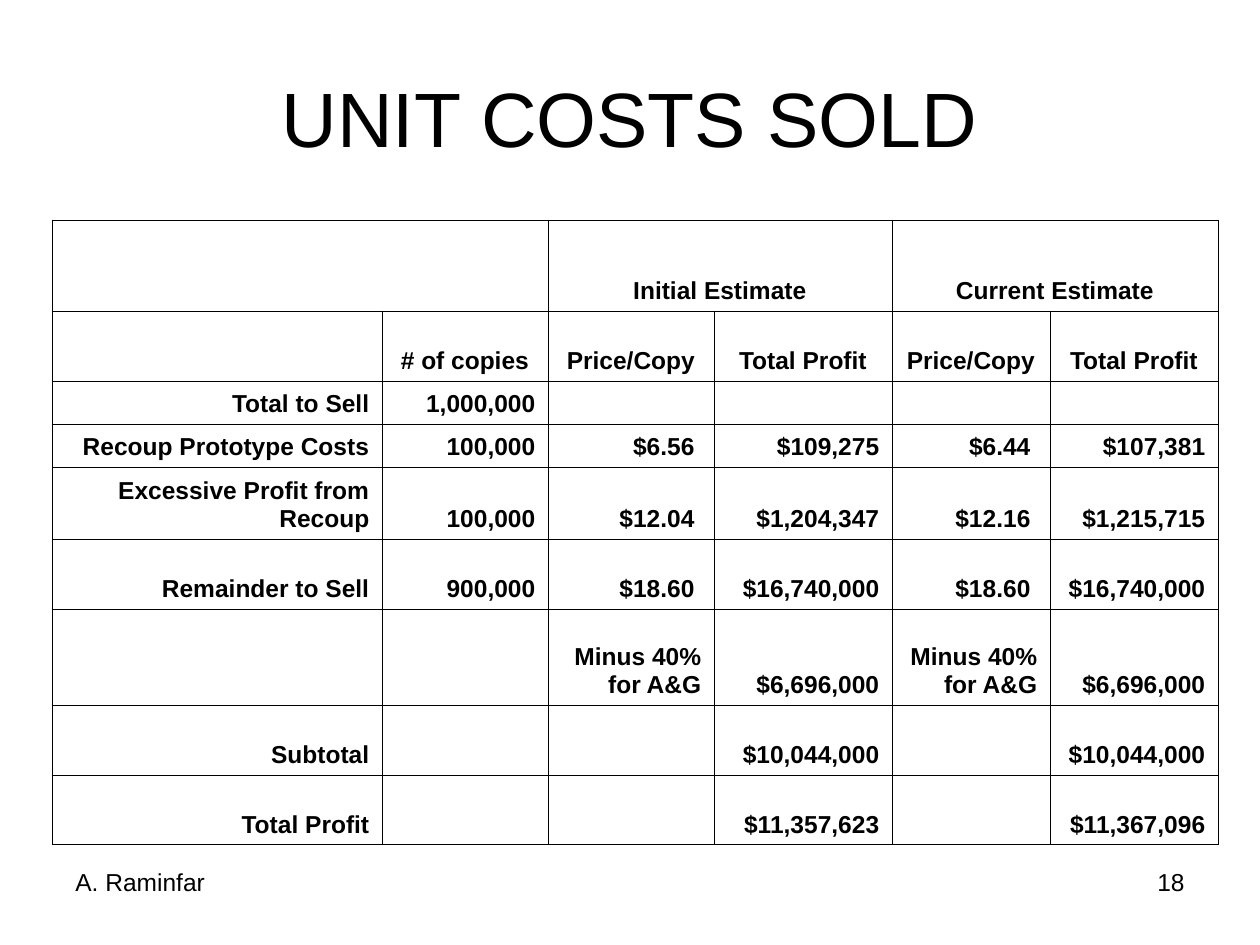
"""Build the unit costs slide: a title, an estimate table and a footer."""
from dataclasses import dataclass

from lxml import etree
from pptx import Presentation, util as u
from pptx.dml.color import RGBColor
from pptx.enum import text
from pptx.oxml.ns import qn

BLACK = RGBColor(0x00, 0x00, 0x00)
FONT = "Arial"
BODY_PT = 14
BORDER_PT = 0.45
LEFT, CENTER, RIGHT = text.PP_ALIGN.LEFT, text.PP_ALIGN.CENTER, text.PP_ALIGN.RIGHT
TOP, MIDDLE, BOTTOM = text.MSO_ANCHOR.TOP, text.MSO_ANCHOR.MIDDLE, text.MSO_ANCHOR.BOTTOM

COLUMN_WIDTHS = [330, 166, 166, 178, 158, 168]
ROW_HEIGHTS = [91, 70, 43, 43, 72, 70, 96, 70, 70]
HEADER_ROWS = 2
ESTIMATES = [
    ["", "", "Initial Estimate", "", "Current Estimate", ""],
    ["", "# of copies", "Price/Copy", "Total Profit", "Price/Copy", "Total Profit"],
    ["Total to Sell", "1,000,000", "", "", "", ""],
    ["Recoup Prototype Costs", "100,000", "$6.56 ", "$109,275", "$6.44 ", "$107,381"],
    ["Excessive Profit from Recoup", "100,000", "$12.04 ", "$1,204,347", "$12.16 ", "$1,215,715"],
    ["Remainder to Sell", "900,000", "$18.60 ", "$16,740,000", "$18.60 ", "$16,740,000"],
    ["", "", "Minus 40% for A&G", "$6,696,000", "Minus 40% for A&G", "$6,696,000"],
    ["Subtotal", "", "", "$10,044,000", "", "$10,044,000"],
    ["Total Profit", "", "", "$11,357,623", "", "$11,367,096"],
]


@dataclass
class Label:
    wording: str
    left: int
    top: int
    width: int
    height: int
    align: text.PP_ALIGN
    size: int = BODY_PT
    anchor: text.MSO_ANCHOR = TOP


LABELS = [
    Label("UNIT COSTS SOLD", 63, 38, 1134, 157, CENTER, 44, MIDDLE),
    Label("18", 903, 861, 294, 65, RIGHT),
    Label("A. Raminfar", 63, 861, 294, 65, LEFT),
]


def px(length: int) -> u.Emu:
    return u.Emu(length * 914400 // 126)


def write(frame, wording: str, align: text.PP_ALIGN, size: int, bold: bool = False) -> None:
    frame.text = wording
    paragraph = frame.paragraphs[0]
    paragraph.alignment = align
    for run in paragraph.runs:
        run.font.name = FONT
        run.font.size = u.Pt(size)
        run.font.bold = bold
        run.font.color.rgb = BLACK
    if not wording:
        etree.SubElement(paragraph._p, qn("a:endParaRPr"), sz=str(size * 100))


def add_label(slide, label: Label) -> None:
    box = slide.shapes.add_textbox(px(label.left), px(label.top), px(label.width), px(label.height))
    frame = box.text_frame
    frame.word_wrap = True
    frame.vertical_anchor = label.anchor
    write(frame, label.wording, label.align, label.size)


def add_borders(cell) -> None:
    properties = cell._tc.get_or_add_tcPr()
    for side in ("lnL", "lnR", "lnT", "lnB"):
        line = etree.SubElement(properties, qn(f"a:{side}"), w=str(u.Pt(BORDER_PT)))
        fill = etree.SubElement(line, qn("a:solidFill"))
        etree.SubElement(fill, qn("a:srgbClr"), val=str(BLACK))


def add_estimates(slide, left: int, top: int) -> None:
    table = slide.shapes.add_table(
        len(ROW_HEIGHTS), len(COLUMN_WIDTHS), px(left), px(top),
        px(sum(COLUMN_WIDTHS)), px(sum(ROW_HEIGHTS))).table
    table.first_row = table.horz_banding = False
    for column, width in zip(table.columns, COLUMN_WIDTHS):
        column.width = px(width)
    for row, height in zip(table.rows, ROW_HEIGHTS):
        row.height = px(height)
    for r, entries in enumerate(ESTIMATES):
        for c, entry in enumerate(entries):
            cell = table.cell(r, c)
            write(cell.text_frame, entry, CENTER if r < HEADER_ROWS else RIGHT, BODY_PT, True)
            cell.vertical_anchor = BOTTOM
            cell.margin_left = cell.margin_right = u.Inches(0.1)
            cell.margin_top = cell.margin_bottom = u.Inches(0.05)
            add_borders(cell)
            cell.fill.background()
    for c in range(0, len(COLUMN_WIDTHS), 2):
        table.cell(0, c).merge(table.cell(0, c + 1))


def main() -> None:
    deck = Presentation()
    deck.slide_width, deck.slide_height = px(1260), px(945)
    slide = deck.slides.add_slide(deck.slide_layouts[6])
    add_estimates(slide, 52, 220)
    for label in LABELS:
        add_label(slide, label)
    deck.save("out.pptx")


if __name__ == "__main__":
    main()
